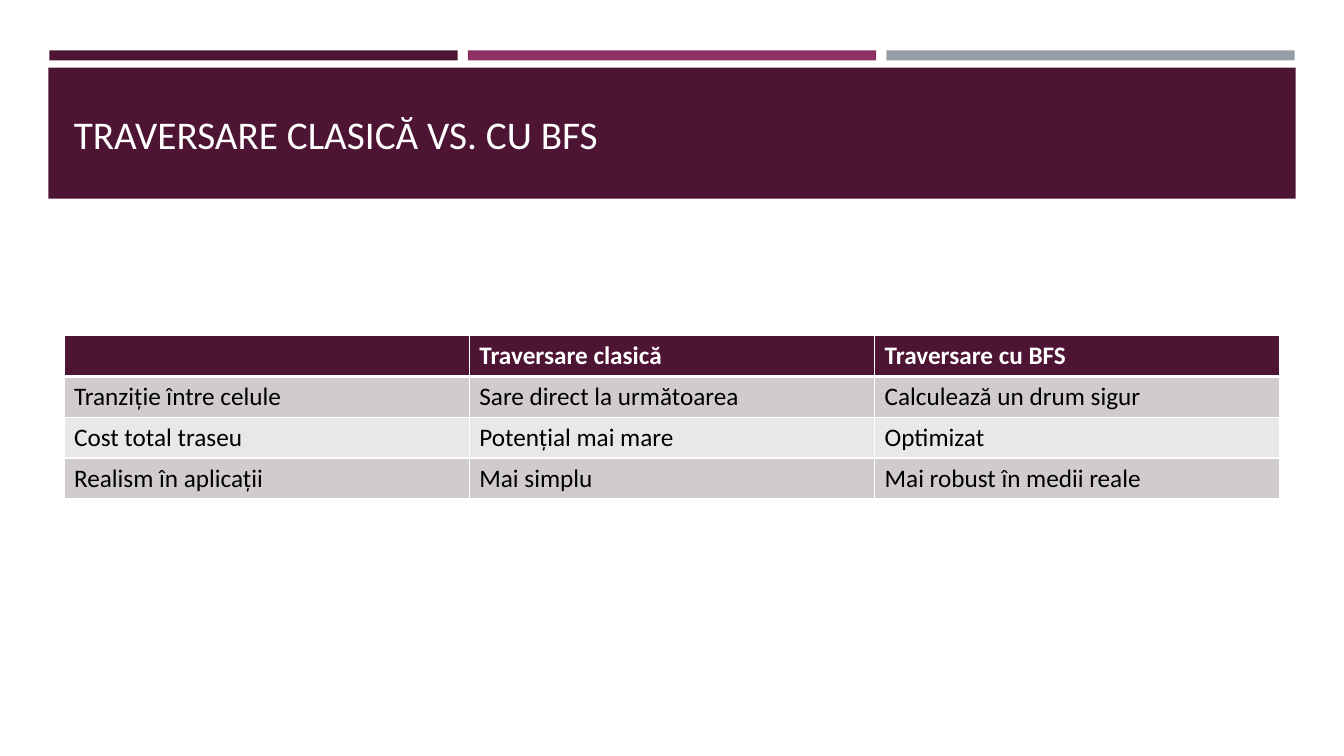
from dataclasses import dataclass

from lxml.etree import SubElement as Sub
from pptx import Presentation
from pptx.dml.color import RGBColor as Rgb
from pptx.enum.shapes import MSO_SHAPE as Kind
from pptx.enum.text import MSO_ANCHOR as Anchor
from pptx.oxml.ns import qn
from pptx.oxml.xmlchemy import OxmlElement as Node
from pptx.util import Inches, Pt

WIDE, HIGH = 13.33, 7.5
FONT = "Calibri"
COLS = 3
HUES = {
    "plum": "4D1434",
    "rose": "903163",
    "steel": "969FA7",
    "white": "FFFFFF",
    "black": "000000",
    "dark": "D0CCCE",
    "light": "E9E7E8",
}
ROWS = [
    ["", "Traversare clasică", "Traversare cu BFS"],
    ["Tranziție între celule", "Sare direct la următoarea", "Calculează un drum sigur"],
    ["Cost total traseu", "Potențial mai mare", "Optimizat"],
    ["Realism în aplicații", "Mai simplu", "Mai robust în medii reale"],
]


@dataclass
class Box:
    """Lengths in inches."""
    left: float
    top: float
    width: float
    height: float

    def place(self) -> list:
        return [Inches(n) for n in (self.left, self.top, self.width, self.height)]


@dataclass
class Band:
    box: Box
    hue: str


def centre(width: float, top: float, height: float) -> Box:
    return Box((WIDE - width) / 2, top, width, height)


def tint(name: str) -> Rgb:
    return Rgb.from_string(HUES[name])


def draw_band(slide, band: Band) -> None:
    shape = slide.shapes.add_shape(Kind.RECTANGLE, *band.box.place())
    shape.shadow.inherit = False
    shape.fill.solid()
    shape.fill.fore_color.rgb = tint(band.hue)
    shape.line.fill.background()


def write(frame, text: str, size: int, hue: str, bold: bool = False) -> None:
    run = frame.paragraphs[0].add_run()
    run.text = text
    font = run.font
    font.name, font.size, font.bold = FONT, Pt(size), bold
    font.color.rgb = tint(hue)


def draw_title(slide, box: Box, text: str) -> None:
    frame = slide.shapes.add_textbox(*box.place()).text_frame
    frame.word_wrap = True
    frame.vertical_anchor = Anchor.MIDDLE
    write(frame, text, 28, "white")


def edge(cell, sides: dict[str, int]) -> None:
    props = cell._tc.get_or_add_tcPr()
    for spot, (side, width) in enumerate(sides.items()):
        line = Node(f"a:ln{side}")
        line.set("w", str(Pt(width)))
        fill = Sub(line, qn("a:solidFill"))
        Sub(fill, qn("a:srgbClr")).set("val", HUES["white"])
        props.insert(spot, line)


def draw_table(slide, box: Box, rows: list[list[str]]) -> None:
    table = slide.shapes.add_table(len(rows), COLS, *box.place()).table
    for r, row in enumerate(rows):
        head = r == 0
        hue = "plum" if head else "dark" if r % 2 else "light"
        for c, text in enumerate(row):
            cell = table.cell(r, c)
            cell.fill.solid()
            cell.fill.fore_color.rgb = tint(hue)
            edge(cell, {"L": 1, "R": 1, "T": 3 if r == 1 else 1, "B": 3 if head else 1})
            if text:
                write(cell.text_frame, text, 18, "white" if head else "black", head)


def main() -> None:
    deck = Presentation()
    deck.slide_width, deck.slide_height = Inches(WIDE), Inches(HIGH)
    slide = deck.slides.add_slide(deck.slide_layouts[6])

    # Top strips on a three-column grid
    wide, gap = 4.05, 0.1
    start = (WIDE - COLS * wide - (COLS - 1) * gap) / 2
    for c, hue in enumerate(["plum", "rose", "steel"]):
        draw_band(slide, Band(Box(start + c * (wide + gap), 0.5, wide, 0.1), hue))

    # Title band
    draw_band(slide, Band(centre(12.37, 0.67, 1.3), "plum"))
    draw_title(slide, centre(12.06, 0.77, 1.11), "TRAVERSARE CLASICĂ VS. CU BFS")

    # Comparison table
    draw_table(slide, centre(12.06, 3.33, 1.62), ROWS)

    deck.save("out.pptx")


if __name__ == "__main__":
    main()
